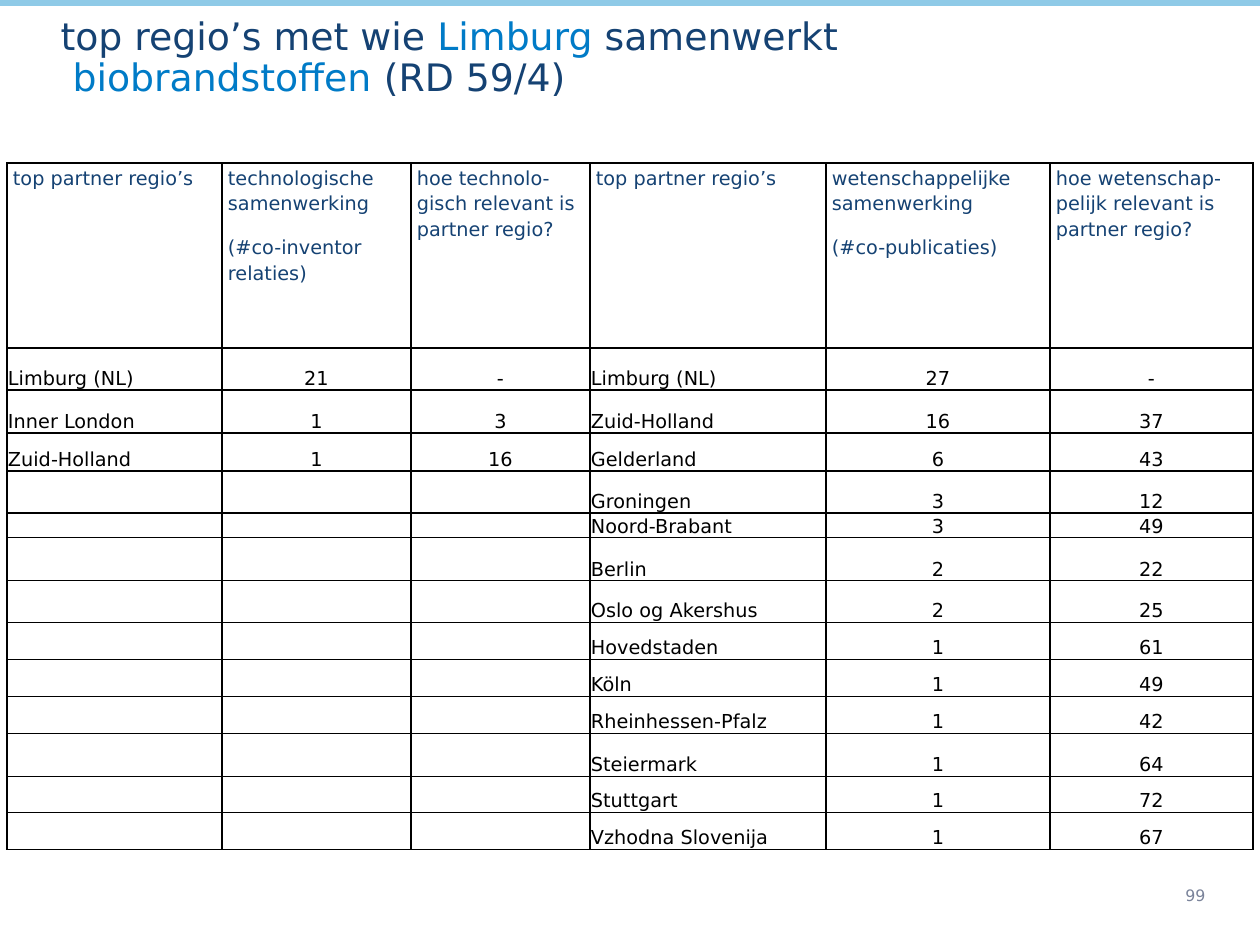
from lxml import etree
from pptx import Presentation
from pptx import util as u
from pptx.dml.color import RGBColor
from pptx.enum import shapes, text
from pptx.oxml.ns import qn

SCALE = 914400 // 126
FONT = "DejaVu Sans"
COLORS = {"navy": "154273", "blue": "007BC7", "sky": "8FCAE7", "black": "000000", "grey": "7A839A"}

TITLE_LINES = [
    [("top regio’s met wie ", "navy"), ("Limburg", "blue"), (" samenwerkt", "navy")],
    [(" biobrandstoffen ", "blue"), ("(RD 59/4)", "navy")],
]
HEADERS = [
    "top partner regio’s",
    "technologische samenwerking\n(#co-inventor relaties)",
    "hoe technolo-gisch relevant is partner regio?",
    "top partner regio’s",
    "wetenschappelijke samenwerking\n(#co-publicaties)",
    "hoe wetenschap-pelijk relevant is partner regio?",
]
TECHNOLOGY = [("Limburg (NL)", "21", "-"), ("Inner London", "1", "3"), ("Zuid-Holland", "1", "16")]
SCIENCE = [
    ("Limburg (NL)", "27", "-"),
    ("Zuid-Holland", "16", "37"),
    ("Gelderland", "6", "43"),
    ("Groningen", "3", "12"),
    ("Noord-Brabant", "3", "49"),
    ("Berlin", "2", "22"),
    ("Oslo og Akershus", "2", "25"),
    ("Hovedstaden", "1", "61"),
    ("Köln", "1", "49"),
    ("Rheinhessen-Pfalz", "1", "42"),
    ("Steiermark", "1", "64"),
    ("Stuttgart", "1", "72"),
    ("Vzhodna Slovenija", "1", "67"),
]
COLUMN_WIDTHS = [215, 189, 179, 236, 224, 203]
ROW_HEIGHTS = [185, 42, 43, 38, 42, 23, 43, 42, 37, 37, 37, 43, 36, 37]


def px(*values):
    return [u.Emu(value * SCALE) for value in values]


def style(font, size, color):
    font.name = FONT
    font.size = u.Pt(size)
    font.color.rgb = RGBColor.from_string(COLORS[color])


def add_borders(cell):
    properties = cell._tc.get_or_add_tcPr()
    for position, side in enumerate(("lnL", "lnR", "lnT", "lnB")):
        line = etree.Element(qn(f"a:{side}"), w=str(u.Pt(1)))
        fill = etree.SubElement(line, qn("a:solidFill"))
        etree.SubElement(fill, qn("a:srgbClr"), val=COLORS["black"])
        properties.insert(position, line)


def fill_cell(cell, content, is_header, is_name):
    cell.margin_left, cell.margin_right, cell.margin_top, cell.margin_bottom = px(
        *((6, 6) if is_header else (1, 1)), 1, 0)
    cell.vertical_anchor = text.MSO_ANCHOR.TOP if is_header else text.MSO_ANCHOR.BOTTOM
    cell.fill.background()
    add_borders(cell)
    cell.text_frame.text = content
    for paragraph in cell.text_frame.paragraphs:
        if is_header:
            paragraph.line_spacing = 1.15
            paragraph.space_after = u.Pt(10)
        elif not is_name:
            paragraph.alignment = text.PP_ALIGN.CENTER
        for run in paragraph.runs:
            style(run.font, 11, "navy" if is_header else "black")
        if not content:
            etree.SubElement(paragraph._p, qn("a:endParaRPr"), sz="1100")


def add_title(slide):
    title = slide.shapes.title
    title.left, title.top, title.width, title.height = px(48, 17, 1201, 89)
    frame = title.text_frame
    frame.word_wrap = True
    frame.auto_size = text.MSO_AUTO_SIZE.NONE
    frame.vertical_anchor = text.MSO_ANCHOR.BOTTOM
    paragraph = frame.paragraphs[0]
    paragraph.alignment = text.PP_ALIGN.LEFT
    paragraph.line_spacing = 0.9
    paragraph.space_before = u.Pt(0)
    for number, line in enumerate(TITLE_LINES):
        if number:
            paragraph.add_line_break()
        for words, color in line:
            run = paragraph.add_run()
            run.text = words
            style(run.font, 21.6, color)


def add_region_table(slide):
    empty = [("", "", "")] * (len(SCIENCE) - len(TECHNOLOGY))
    rows = [HEADERS] + [left + right for left, right in zip(TECHNOLOGY + empty, SCIENCE)]
    frame = slide.shapes.add_table(
        len(rows), len(HEADERS), *px(7, 163, sum(COLUMN_WIDTHS), sum(ROW_HEIGHTS)))
    table = frame.table
    table.first_row = False
    table.horz_banding = False
    for column, width in zip(table.columns, px(*COLUMN_WIDTHS)):
        column.width = width
    for row, height in zip(table.rows, px(*ROW_HEIGHTS)):
        row.height = height
    for r, contents in enumerate(rows):
        for c, content in enumerate(contents):
            fill_cell(table.cell(r, c), content, r == 0, c % 3 == 0)


def main():
    presentation = Presentation()
    presentation.slide_width, presentation.slide_height = px(1260, 945)
    slide = presentation.slides.add_slide(presentation.slide_layouts[5])

    bar = slide.shapes.add_shape(shapes.MSO_SHAPE.RECTANGLE, *px(0, 0, 1260, 5))
    bar.shadow.inherit = False
    bar.fill.solid()
    bar.fill.fore_color.rgb = RGBColor.from_string(COLORS["sky"])
    bar.line.color.rgb = RGBColor.from_string(COLORS["sky"])
    bar.line.width = u.Pt(0.75)

    add_title(slide)
    add_region_table(slide)

    page_number = slide.shapes.add_textbox(*px(1173, 869, 86, 52))
    page_number.text_frame.word_wrap = True
    page_number.text_frame.vertical_anchor = text.MSO_ANCHOR.MIDDLE
    page_number.text_frame.text = "99"
    style(page_number.text_frame.paragraphs[0].runs[0].font, 9, "grey")

    presentation.save("out.pptx")


if __name__ == "__main__":
    main()
